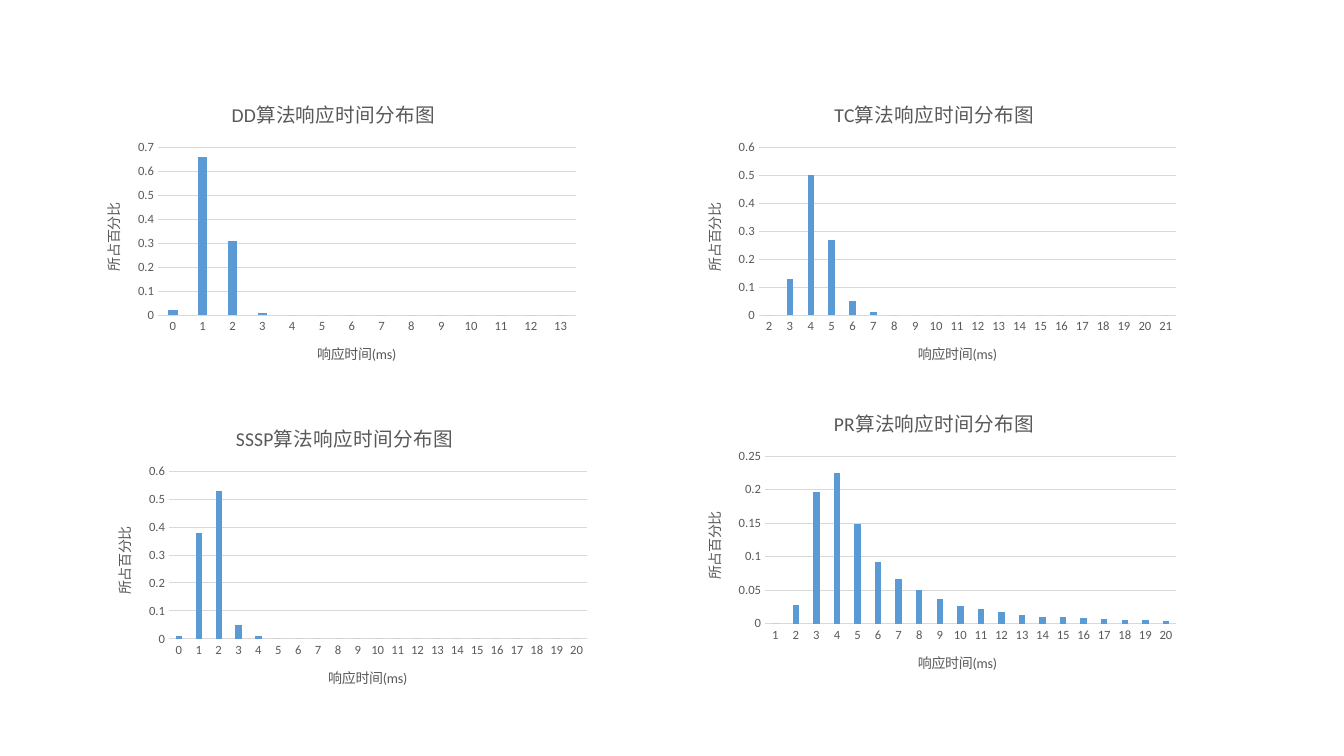
from pptx import Presentation
from pptx.chart.data import CategoryChartData
from pptx.dml.color import RGBColor
from pptx.enum.chart import XL_CHART_TYPE, XL_TICK_MARK
from pptx.util import Pt

COLUMNS = XL_CHART_TYPE.COLUMN_CLUSTERED
NO_TICK = XL_TICK_MARK.NONE
FONT = "Calibri"
BAR, GREY, RULE = "5B9BD5", "595959", "D9D9D9"
CHART_WIDTH, CHART_HEIGHT = 360, 216

# algorithm, left, top, first and last time (ms), axis maximum, axis step, leading shares
DISTRIBUTIONS = [
    ("DD", 58.3, 59, 0, 13, 0.7, 0.1, [0.02, 0.66, 0.31, 0.01]),
    ("TC", 487.4, 59, 2, 21, 0.6, 0.1, [0, 0.13, 0.5, 0.27, 0.05, 0.01]),
    ("SSSP", 66.2, 290.2, 0, 20, 0.6, 0.1, [0.01, 0.38, 0.53, 0.05, 0.01]),
    ("PR", 487.4, 279.4, 1, 20, 0.25, 0.05,
     [0, 0.028, 0.197, 0.225, 0.148, 0.092, 0.066, 0.05, 0.037, 0.027,
      0.022, 0.017, 0.013, 0.01, 0.01, 0.009, 0.007, 0.006, 0.005, 0.004]),
]


def colour(code):
    return RGBColor.from_string(code)


def set_all(target, **values):
    for name, value in values.items():
        setattr(target, name, value)


def style_font(font, size):
    set_all(font, name=FONT, size=Pt(size), bold=False)
    font.color.rgb = colour(GREY)


def style_line(line):
    line.color.rgb = colour(RULE)
    line.width = Pt(0.75)


def set_title(title, text, size):
    span = title.text_frame.paragraphs[0].add_run()
    span.text = text
    style_font(span.font, size)


def style_axis(axis, title):
    set_all(axis, major_tick_mark=NO_TICK, minor_tick_mark=NO_TICK)
    style_font(axis.tick_labels.font, 9)
    set_title(axis.axis_title, title, 10)


def add_distribution(page, algorithm, left, top, first, last, maximum, step, shares):
    """Add one column chart; times beyond the listed shares count as zero."""
    times = range(first, last + 1)
    data = CategoryChartData()
    data.categories = [str(time) for time in times]
    data.add_series("所占百分比", shares + [0] * (len(times) - len(shares)))
    chart = page.shapes.add_chart(
        COLUMNS, Pt(left), Pt(top), Pt(CHART_WIDTH), Pt(CHART_HEIGHT), data).chart
    chart.has_legend = False
    style_font(chart.font, 10)
    set_title(chart.chart_title, f"{algorithm}算法响应时间分布图", 14)

    plot = chart.plots[0]
    set_all(plot, gap_width=219, overlap=-27, vary_by_categories=False)
    fill = plot.series[0].format.fill
    fill.solid()
    fill.fore_color.rgb = colour(BAR)

    style_axis(chart.category_axis, "响应时间(ms)")
    style_line(chart.category_axis.format.line)
    shares_axis = chart.value_axis
    style_axis(shares_axis, "所占百分比")
    set_all(shares_axis, minimum_scale=0, maximum_scale=maximum, major_unit=step)
    shares_axis.format.line.fill.background()
    style_line(shares_axis.major_gridlines.format.line)


def main():
    deck = Presentation()
    set_all(deck, slide_width=Pt(960), slide_height=Pt(540))
    page = deck.slides.add_slide(deck.slide_layouts[6])
    for distribution in DISTRIBUTIONS:
        add_distribution(page, *distribution)
    deck.save("out.pptx")


if __name__ == "__main__":
    main()
